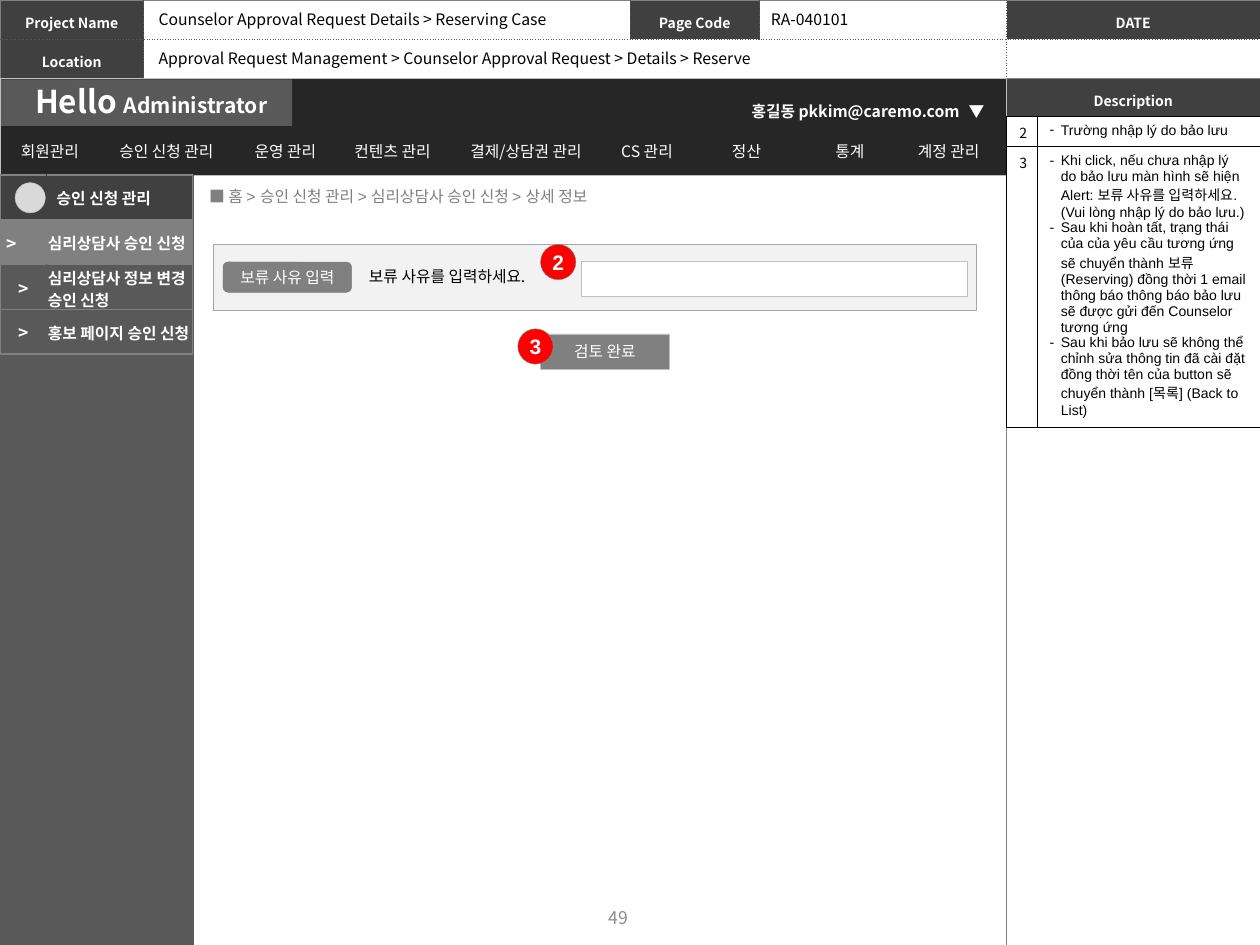
from lxml.etree import SubElement
from pptx import Presentation
from pptx.dml.color import RGBColor
from pptx.enum.shapes import MSO_SHAPE
from pptx.enum.text import MSO_ANCHOR, MSO_AUTO_SIZE, PP_ALIGN
from pptx.oxml.ns import qn
from pptx.util import Inches, Pt

NOTO, ARIAL = "Noto Sans CJK KR", "Arial"
LEFT, CENTER = PP_ALIGN.LEFT, PP_ALIGN.CENTER
MIDDLE, TOP = MSO_ANCHOR.MIDDLE, MSO_ANCHOR.TOP

# Content
HEADER = [["Project Name", "", "Page Code", "", "DATE"], ["Location", "", "", "", ""]]
HEADER_VALUES = [
    (1.16, 0.03, 3.31, "Counselor Approval Request Details > Reserving Case"),
    (6.02, 0.03, 0.83, "RA-040101"),
    (1.16, 0.34, 5.01, "Approval Request Management > Counselor Approval Request > Details > Reserve"),
]
MENU = [("회원관리", 0.75), ("승인 신청 관리", 1.1), ("운영 관리", 0.79),
        ("컨텐츠 관리", 0.91), ("결제/상담권 관리", 1.21), ("CS 관리", 0.71),
        ("정산", 0.87), ("통계", 0.77), ("계정 관리", 0.8)]
SIDE_MENU = [("", "승인 신청 관리", "404040"), (">", "심리상담사 승인 신청", "808080"),
             (">", "심리상담사 정보 변경 승인 신청", "595959"),
             (">", "홍보 페이지 승인 신청", "595959")]
DESCRIPTIONS = [
    ("2", 0.24, ["Trường nhập lý do bảo lưu"]),
    ("3", 2.23, [
        "Khi click, nếu chưa nhập lý do bảo lưu màn hình sẽ hiện Alert: "
        "보류 사유를 입력하세요. (Vui lòng nhập lý do bảo lưu.)",
        "Sau khi hoàn tất, trạng thái của của yêu cầu tương ứng sẽ chuyển thành 보류 "
        "(Reserving) đồng thời 1 email thông báo thông báo bảo lưu sẽ được gửi đến "
        "Counselor tương ứng",
        "Sau khi bảo lưu sẽ không thể chỉnh sửa thông tin đã cài đặt đồng thời tên của "
        "button sẽ chuyển thành [목록] (Back to List)"]),
]
MARKERS = [("3", 4.11, 2.61), ("2", 4.29, 1.94)]

presentation = Presentation()
presentation.slide_width, presentation.slide_height = Inches(10), Inches(7.5)
slide = presentation.slides.add_slide(presentation.slide_layouts[6])


def color(value):
    return RGBColor.from_string(value)


def paint(fill, value):
    if value:
        fill.solid()
        fill.fore_color.rgb = color(value)
    else:
        fill.background()


def write(frame, texts, size=9, ink="FFFFFF", font=NOTO, bold=False, align=LEFT,
          spacing=None, bullet=None):
    for index, text in enumerate([texts] if isinstance(texts, str) else texts):
        paragraph = frame.paragraphs[0] if index == 0 else frame.add_paragraph()
        paragraph.alignment = align
        if spacing:
            paragraph.line_spacing = spacing
        if bullet:
            properties = paragraph._p.get_or_add_pPr()
            properties.set("marL", str(Inches(0.09)))
            properties.set("indent", str(-Inches(0.09)))
            SubElement(properties, qn("a:buFont"), typeface=ARIAL)
            SubElement(properties, qn("a:buChar"), char=bullet)
        style = paragraph.font
        style.size, style.bold, style.name = Pt(size), bold, font
        style.color.rgb = color(ink)
        latin = paragraph._p.pPr.find(qn("a:defRPr")).find(qn("a:latin"))
        east_asian = latin.makeelement(qn("a:ea"), {"typeface": NOTO})
        latin.addnext(east_asian)
        if text:
            paragraph.add_run().text = text
        else:
            # Keeps an empty cell from growing its row
            SubElement(paragraph._p, qn("a:endParaRPr"), sz=str(size * 100))


def add_box(kind, x, y, w, h, fill, line=None, text="", wrap=True, **style):
    shape = slide.shapes.add_shape(kind, Inches(x), Inches(y), Inches(w), Inches(h))
    shape.shadow.inherit = False
    paint(shape.fill, fill)
    paint(shape.line.fill, line)
    if line:
        shape.line.width = Pt(0.25)
    if text:
        shape.text_frame.word_wrap = wrap
        shape.text_frame.vertical_anchor = MIDDLE
        write(shape.text_frame, text, align=CENTER, **style)
    return shape


def add_text(x, y, w, h, text, wrap=False, anchor=TOP, grow=True, **style):
    frame = slide.shapes.add_textbox(Inches(x), Inches(y), Inches(w), Inches(h)).text_frame
    frame.word_wrap = wrap
    frame.vertical_anchor = anchor
    if grow:
        frame.auto_size = MSO_AUTO_SIZE.SHAPE_TO_FIT_TEXT
    write(frame, text, **style)
    return frame


def add_table(x, y, widths, heights):
    table = slide.shapes.add_table(len(heights), len(widths), Inches(x), Inches(y),
                                   Inches(sum(widths)), Inches(sum(heights))).table
    table.first_row = table.horz_banding = False
    for column, width in zip(table.columns, widths):
        column.width = Inches(width)
    for row, height in zip(table.rows, heights):
        row.height = Inches(height)
    return table


def fill_cell(cell, text, fill=None, border="808080", width=0.5, dotted="", margins=None,
              anchor=MIDDLE, inner="", inner_color=None, **style):
    """dotted and inner name the sides (L, R, T, B) that differ from the rest."""
    properties = cell._tc.get_or_add_tcPr()
    for side in "LRTB":
        edge = "595959" if side in dotted else inner_color if side in inner else border
        line = SubElement(properties, qn("a:ln" + side), w=str(Pt(width)))
        SubElement(SubElement(line, qn("a:solidFill")), qn("a:srgbClr"), val=edge)
        SubElement(line, qn("a:prstDash"), val="sysDot" if side in dotted else "solid")
    paint(cell.fill, fill)
    cell.vertical_anchor = anchor
    if margins:
        (cell.margin_left, cell.margin_top, cell.margin_right,
         cell.margin_bottom) = map(Inches, margins)
    write(cell.text_frame, text, **style)


# Page header
label = dict(size=8, bold=True, align=CENTER, spacing=1.3, margins=(0.04,) * 4)
header = add_table(0, 0, [1.14, 3.86, 1.03, 1.96, 2.01], [0.31, 0.31])
header.cell(1, 1).merge(header.cell(1, 3))
for r, row in enumerate(HEADER):
    for c, text in enumerate(row):
        dotted = "BT"[r] + ("L" if c > 0 else "") + ("R" if c < 4 else "")
        fill_cell(header.cell(r, c), text, "404040" if text else None, dotted=dotted, **label)

# Description column frame
panel = add_table(7.99, 0.62, [2.01], [0.31, 6.57])
fill_cell(panel.cell(0, 0), "Description", "404040", dotted="B", **label)
fill_cell(panel.cell(1, 0), "", dotted="T")

# Top bar and menu
add_box(MSO_SHAPE.RECTANGLE, 0, 0.62, 7.99, 0.77, "262626", "BFBFBF")
add_box(MSO_SHAPE.RECTANGLE, 0.01, 0.63, 2.31, 0.37, "595959")
greeting = add_text(0.18, 0.6, 2.09, 0.4, "Hello ", size=18, bold=True)
role = greeting.paragraphs[0].add_run()
role.text, role.font.size = "Administrator", Pt(12)
menu = add_table(0.02, 1.04, [width for _, width in MENU], [0.31])
for c, (text, _) in enumerate(MENU):
    fill_cell(menu.cell(0, c), text, border="262626", width=1, align=CENTER)
add_text(5.82, 0.73, 1.94, 0.26, "홍길동 pkkim@caremo.com", wrap=True, bold=True,
         align=CENTER, spacing=1.2)
add_text(7.59, 0.73, 0.33, 0.26, "▼", bold=True, spacing=1.2)

# Reason form
add_box(MSO_SHAPE.RECTANGLE, 1.69, 1.94, 6.06, 0.52, "F2F2F2", "A6A6A6")
add_box(MSO_SHAPE.RECTANGLE, 4.29, 2.65, 1.02, 0.28, "808080", "BFBFBF", "검토 완료")
add_text(2.83, 2.07, 1.58, 0.25, "보류 사유를 입력하세요.", ink="000000")
add_box(MSO_SHAPE.ROUNDED_RECTANGLE, 1.77, 2.08, 1.02, 0.24, "808080", "808080",
        "보류 사유 입력", wrap=False)
add_box(MSO_SHAPE.RECTANGLE, 4.61, 2.07, 3.07, 0.28, "FFFFFF", "BFBFBF")
breadcrumb = add_text(1.46, 1.39, 6.22, 0.34, "■ 홈 > 승인 신청 관리 > 심리상담사 승인 신청 > 상세 정보",
                      wrap=True, anchor=MIDDLE, grow=False, ink="808080", font=ARIAL)
breadcrumb.margin_left = Inches(0.2)

# Side menu
add_box(MSO_SHAPE.RECTANGLE, 0, 1.38, 1.54, 6.12, "595959")
side_menu = add_table(0, 1.39, [0.37, 1.16], [0.355] * 4)
for r, (arrow, text, fill) in enumerate(SIDE_MENU):
    current = r == 1
    fill_cell(side_menu.cell(r, 0), arrow, fill, width=1, inner="R", inner_color=fill,
              margins=(0.05 if current else 0.01, 0.01, 0.01, 0), size=10, bold=True,
              align=LEFT if current else CENTER)
    fill_cell(side_menu.cell(r, 1), text, fill, width=1, inner="L", inner_color=fill,
              margins=(0.08 if r == 0 else 0.01, 0.01, 0.01, 0), bold=True)
add_box(MSO_SHAPE.OVAL, 0.12, 1.45, 0.24, 0.24, "D9D9D9", "BFBFBF")

# Page number and numbered markers
add_text(3.74, 7.08, 2.33, 0.4, "49", wrap=True, anchor=MIDDLE, grow=False, size=10,
         ink="8C8C8C", align=CENTER)
for number, x, y in MARKERS:
    add_box(MSO_SHAPE.OVAL, x, y, 0.28, 0.28, "FF0000", "808080", number, wrap=False,
            size=12, font=ARIAL, bold=True)

# Descriptions
notes = add_table(7.99, 0.92, [0.23, 1.77], [height for _, height, _ in DESCRIPTIONS])
note = dict(fill="FFFFFF", border="000000", anchor=TOP, size=8, ink="000000")
for r, (number, _, lines) in enumerate(DESCRIPTIONS):
    fill_cell(notes.cell(r, 0), number, **note)
    fill_cell(notes.cell(r, 1), lines, font=ARIAL, bullet="-", **note)

# Header values
for x, y, width, text in HEADER_VALUES:
    add_text(x, y, width, 0.25, text, ink="000000")

presentation.save("out.pptx")
